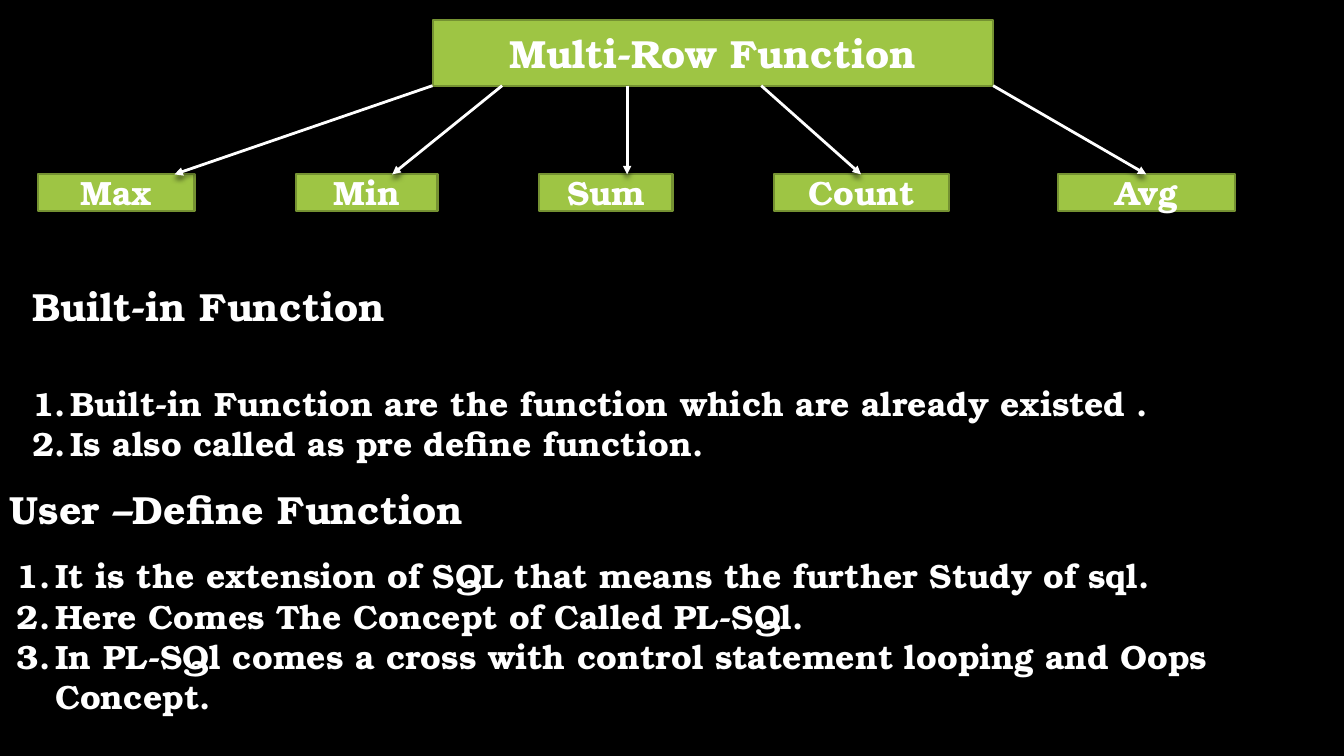
"""Slide on SQL multi-row, built-in and user-defined functions."""
from lxml import etree
from pptx import Presentation, util as u
from pptx.dml.color import RGBColor
from pptx.enum import shapes, text
from pptx.oxml.ns import qn

INK = {"back": "000000", "box": "9EC544", "edge": "759232", "text": "FFFFFF"}
INK = {name: RGBColor.from_string(code) for name, code in INK.items()}
FONT = "TeX Gyre Bonum"
HEAD, BODY = 28, 24
EDGE, ROW = 0.85, 1.73


def write(frame, lines, size, align=text.PP_ALIGN.LEFT):
    frame.word_wrap = True
    frame.text = "\n".join(lines)
    for para in frame.paragraphs:
        para.alignment = align
        font = para.font
        font.name, font.size, font.bold = FONT, u.Pt(size), True
        font.color.rgb = INK["text"]


def label(box, words, size):
    box.fill.solid()
    box.fill.fore_color.rgb = INK["box"]
    box.line.color.rgb = INK["edge"]
    box.line.width = u.Pt(1.5)
    frame = box.text_frame
    write(frame, [words], size, text.PP_ALIGN.CENTER)
    frame.auto_size = text.MSO_AUTO_SIZE.NONE
    frame.vertical_anchor = text.MSO_ANCHOR.MIDDLE


deck = Presentation()
deck.slide_width, deck.slide_height = u.Inches(13.33), u.Inches(7.5)
slide = deck.slides.add_slide(deck.slide_layouts[5])
slide.background.fill.solid()
slide.background.fill.fore_color.rgb = INK["back"]

title = slide.shapes.title
title.left, title.top = u.Inches(4.29), u.Inches(0.2)
title.width, title.height = u.Inches(5.56), u.Inches(EDGE - 0.2)
label(title, "Multi-Row Function", HEAD)

kinds = [
    ("Max", 0.38, 1.55, 4.29, 1.73),
    ("Min", 2.94, 1.4, 4.98, 3.89),
    ("Sum", 5.35, 1.32, 6.22, 6.22),
    ("Count", 7.68, 1.73, 7.55, 8.54),
    ("Avg", 10.49, 1.76, 9.85, 11.37),
]
for name, left, wide, start, end in kinds:
    box = slide.shapes.add_shape(
        shapes.MSO_SHAPE.RECTANGLE,
        u.Inches(left), u.Inches(ROW), u.Inches(wide), u.Inches(0.36))
    box.shadow.inherit = False
    label(box, name, BODY)

for name, left, wide, start, end in kinds:
    arrow = slide.shapes.add_connector(
        shapes.MSO_CONNECTOR.STRAIGHT,
        u.Inches(start), u.Inches(EDGE), u.Inches(end), u.Inches(ROW))
    arrow.line.color.rgb = INK["text"]
    arrow.line.width = u.Pt(2)
    props = arrow.line._get_or_add_ln()
    etree.SubElement(props, qn("a:tailEnd"), type="triangle")
    fx = etree.SubElement(arrow._element.spPr, qn("a:effectLst"))
    shade = etree.SubElement(
        fx, qn("a:outerShdw"), blurRad=str(u.Pt(4)), dist=str(u.Pt(3)),
        dir="5400000", rotWithShape="0")
    tint = etree.SubElement(shade, qn("a:srgbClr"), val=str(INK["back"]))
    etree.SubElement(tint, qn("a:alpha"), val="54000")

notes = [
    (0.22, 2.75, 4.6, 0.57, HEAD, ["Built-in Function"]),
    (0.22, 3.75, 11.44, 0.91, BODY, [
        "Built-in Function are the function which are already existed .",
        "Is also called as pre define function."]),
    (0, 4.77, 5.76, 0.57, HEAD, ["User –Define Function"]),
    (0.07, 5.46, 13.08, 1.31, BODY, [
        "It is the extension of SQL that means the further Study of sql.",
        "Here Comes The Concept of Called PL-SQl.",
        "In PL-SQl comes a cross with control statement looping and Oops Concept."]),
]
for left, top, wide, high, size, lines in notes:
    area = slide.shapes.add_textbox(
        u.Inches(left), u.Inches(top), u.Inches(wide), u.Inches(high))
    frame = area.text_frame
    write(frame, lines, size)
    frame.auto_size = text.MSO_AUTO_SIZE.SHAPE_TO_FIT_TEXT
    if size == BODY:
        for para in frame.paragraphs:
            props = para._p.get_or_add_pPr()
            props.set("marL", str(u.Inches(0.38)))
            props.set("indent", str(-u.Inches(0.38)))
            num = etree.Element(qn("a:buAutoNum"), type="arabicPeriod")
            props.insert(0, num)

deck.save("out.pptx")
